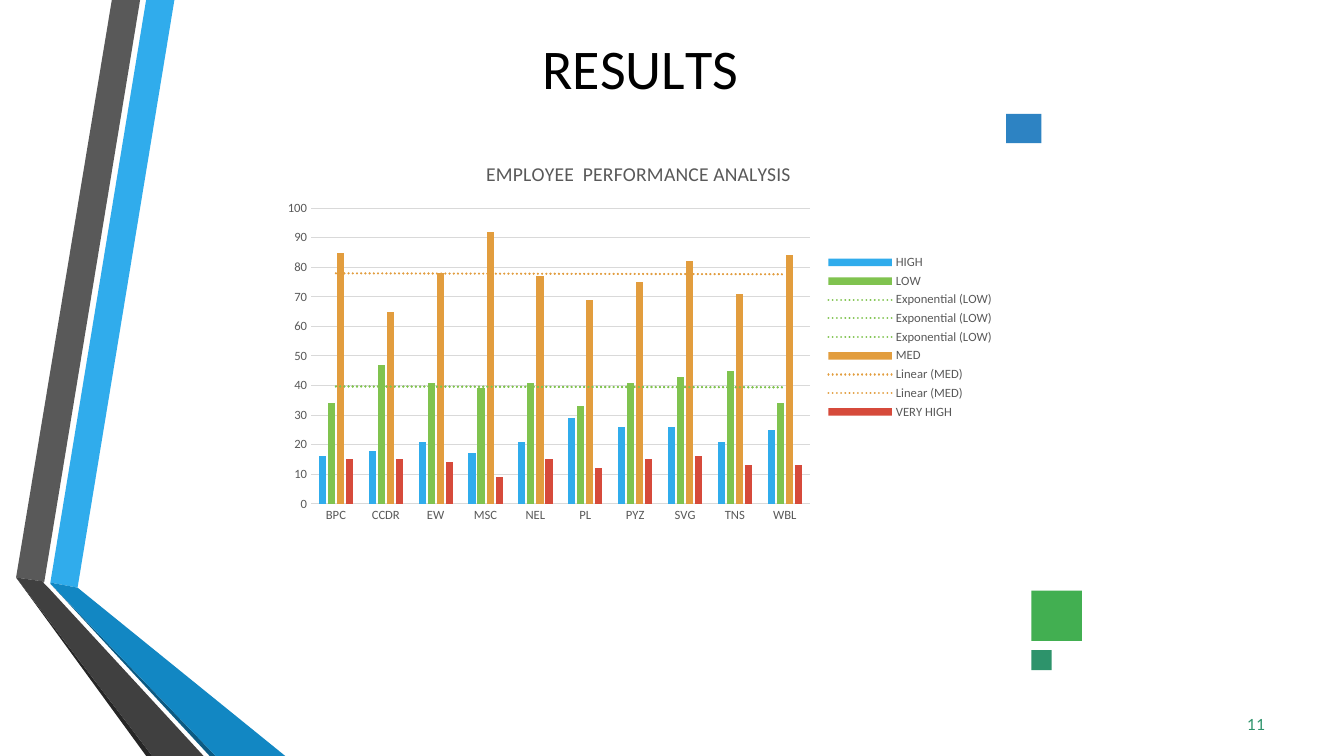
from lxml import etree
from pptx import Presentation
from pptx.chart.data import CategoryChartData
from pptx.dml.color import RGBColor
from pptx.enum.chart import XL_CHART_TYPE, XL_LEGEND_POSITION, XL_TICK_MARK
from pptx.enum.shapes import MSO_SHAPE
from pptx.enum.text import MSO_ANCHOR, PP_ALIGN
from pptx.oxml import parse_xml
from pptx.oxml.ns import nsdecls, qn
from pptx.util import Inches, Pt

COLUMN = XL_CHART_TYPE.COLUMN_CLUSTERED
RIGHT = XL_LEGEND_POSITION.RIGHT
NO_TICK = XL_TICK_MARK.NONE
RECT = MSO_SHAPE.RECTANGLE
TOP, MIDDLE = MSO_ANCHOR.TOP, MSO_ANCHOR.MIDDLE
LEFT, CENTER = PP_ALIGN.LEFT, PP_ALIGN.CENTER

BLACK = RGBColor(0x00, 0x00, 0x00)
INK = RGBColor(0x26, 0x26, 0x26)
COAL = RGBColor(0x40, 0x40, 0x40)
GRAY = RGBColor(0x59, 0x59, 0x59)
PALE = RGBColor(0xD9, 0xD9, 0xD9)
SKY = RGBColor(0x30, 0xAC, 0xEC)
OCEAN = RGBColor(0x12, 0x87, 0xC3)
NAVY = RGBColor(0x0C, 0x5A, 0x82)
BLUE = RGBColor(0x2D, 0x83, 0xC3)
GREEN = RGBColor(0x42, 0xAF, 0x51)
TEAL = RGBColor(0x2D, 0x93, 0x6B)
LIME = RGBColor(0x80, 0xC3, 0x4F)
AMBER = RGBColor(0xE2, 0x9D, 0x3E)
RED = RGBColor(0xD6, 0x4A, 0x3B)

# Ribbons of the left border, from back to front
RIBBONS = [
    (SKY, [(0.5, 5.78), (0.77, 5.83), (1.73, 0), (1.45, 0)]),
    (GRAY, [(1.39, 0), (1.11, 0), (0.16, 5.73), (0.44, 5.77)]),
    (INK, [(0.16, 5.73), (1.45, 7.5), (1.51, 7.5)]),
    (NAVY, [(0.5, 5.79), (2.08, 7.5), (2.14, 7.5)]),
    (OCEAN, [(0.5, 5.79), (2.14, 7.5), (2.83, 7.5), (0.77, 5.83), (0.5, 5.78)]),
    (COAL, [(2.02, 7.5), (0.48, 5.83), (0.43, 5.78), (0.44, 5.77),
            (0.16, 5.73), (1.51, 7.5)]),
]
SQUARES = [
    (GREEN, 10.23, 5.86, 0.5, 0.5),
    (BLUE, 9.98, 1.13, 0.35, 0.29),
    (TEAL, 10.23, 6.45, 0.2, 0.2),
]
# Letters of the title with their spacing in points
TITLE = [("R", 0), ("E", -0.4), ("S", 0.1), ("U", -0.3), ("L", -4), ("TS", 0)]

GROUPS = ["BPC", "CCDR", "EW", "MSC", "NEL", "PL", "PYZ", "SVG", "TNS", "WBL"]
# Name, colour, values, trend type, number of trend lines
SERIES = [
    ("HIGH", SKY, [16, 18, 21, 17, 21, 29, 26, 26, 21, 25], None, 0),
    ("LOW", LIME, [34, 47, 41, 39, 41, 33, 41, 43, 45, 34], "exp", 3),
    ("MED", AMBER, [85, 65, 78, 92, 77, 69, 75, 82, 71, 84], "linear", 2),
    ("VERY HIGH", RED, [15, 15, 14, 9, 15, 12, 15, 16, 13, 13], None, 0),
]


def style(font, size, color, face="Calibri"):
    font.size, font.name, font.bold = Pt(size), face, False
    font.color.rgb = color


def write(frame, runs, size=11, color=BLACK, face="Calibri", align=LEFT,
          anchor=TOP, before=0, indent=0):
    """Fill a text frame with (text, letter spacing) runs."""
    frame.word_wrap = True
    frame.vertical_anchor = anchor
    frame.margin_left = frame.margin_right = frame.margin_bottom = 0
    frame.margin_top = Inches(0.01)
    par = frame.paragraphs[0]
    par.alignment, par.space_before = align, Pt(before)
    props = par._p.get_or_add_pPr()
    props.set("marL", str(Inches(indent)))
    props.set("indent", "0")
    for text, gap in runs:
        run = par.add_run()
        run.text = text
        style(run.font, size, color, face)
        run.font._element.set("spc", str(round(gap * 100)))


class Canvas:
    """Holds the current slide and draws its elements."""

    def __init__(self, slide):
        self.slide, self.shapes = slide, slide.shapes

    def paint(self, shape, color):
        shape.shadow.inherit = False
        shape.fill.solid()
        shape.fill.fore_color.rgb = color
        shape.line.fill.background()

    def ribbon(self, color, points):
        spots = [(Inches(x), Inches(y)) for x, y in points]
        pen = self.shapes.build_freeform(*spots[0])
        pen.add_line_segments(spots[1:], close=True)
        self.paint(pen.convert_to_shape(), color)

    def square(self, color, *box):
        self.paint(self.shapes.add_shape(RECT, *map(Inches, box)), color)

    def title(self, runs, box, **form):
        head = self.shapes.title
        head.left, head.top, head.width, head.height = map(Inches, box)
        write(head.text_frame, runs, **form)

    def label(self, text, box, gap=0, **form):
        field = self.shapes.add_textbox(*map(Inches, box))
        write(field.text_frame, [(text, gap)], **form)

    def chart(self, title, box):
        data = CategoryChartData()
        data.categories = GROUPS
        for name, _, values, _, _ in SERIES:
            data.add_series(name, values)
        chart = self.shapes.add_chart(COLUMN, *map(Inches, box), data).chart
        style(chart.font, 10, BLACK)

        # Title and legend
        chart.has_title = True
        frame = chart.chart_title.text_frame
        frame.text = title
        style(frame.paragraphs[0].runs[0].font, 14, GRAY)
        chart.chart_title.include_in_layout = False
        chart.has_legend = True
        chart.legend.position = RIGHT
        chart.legend.include_in_layout = False
        style(chart.legend.font, 9, GRAY)

        # Axes
        for axis in (chart.category_axis, chart.value_axis):
            axis.major_tick_mark = axis.minor_tick_mark = NO_TICK
            style(axis.tick_labels.font, 9, GRAY)
        side = chart.value_axis
        side.minimum_scale, side.maximum_scale, side.major_unit = 0, 100, 10
        side.format.line.fill.background()
        for part in (chart.category_axis, side.major_gridlines):
            part.format.line.color.rgb = PALE
            part.format.line.width = Pt(0.75)

        # Bars and trend lines
        plot = chart.plots[0]
        plot.gap_width, plot.overlap, plot.vary_by_categories = 219, -27, False
        for bar, (_, color, _, kind, count) in zip(plot.series, SERIES):
            bar.format.fill.solid()
            bar.format.fill.fore_color.rgb = color
            bar.invert_if_negative = False
            for _ in range(count):
                self.trend(bar, kind, color)

    def trend(self, bar, kind, color):
        line = parse_xml(f'<c:trendline {nsdecls("c", "a")}><c:spPr/></c:trendline>')
        stroke = etree.SubElement(line[0], qn("a:ln"), w=str(Pt(1.5)), cap="rnd")
        fill = etree.SubElement(stroke, qn("a:solidFill"))
        etree.SubElement(fill, qn("a:srgbClr"), val=str(color))
        etree.SubElement(stroke, qn("a:prstDash"), val="sysDot")
        for tag, value in (("trendlineType", kind), ("dispRSqr", "0"), ("dispEq", "0")):
            etree.SubElement(line, qn(f"c:{tag}"), val=value)
        bar._element.find(qn("c:cat")).addprevious(line)


def main():
    deck = Presentation()
    deck.slide_width, deck.slide_height = Inches(13.33), Inches(7.5)
    page = Canvas(deck.slides.add_slide(deck.slide_layouts[5]))

    # Border and squares
    for color, points in RIBBONS:
        page.ribbon(color, points)
    for square in SQUARES:
        page.square(*square)

    # Title, page number and chart
    page.title(TITLE, (5.01, 0.25, 2.67, 0.83), size=40, align=CENTER,
               anchor=MIDDLE, before=1.1, indent=0.01)
    page.label("11", (12.33, 7.08, 0.25, 0.21), gap=0.1, color=TEAL,
               face="Lato", before=0.6, indent=0.04)
    page.chart("EMPLOYEE  PERFORMANCE ANALYSIS", (2.71, 1.43, 7.25, 3.83))
    deck.save("out.pptx")


if __name__ == "__main__":
    main()
